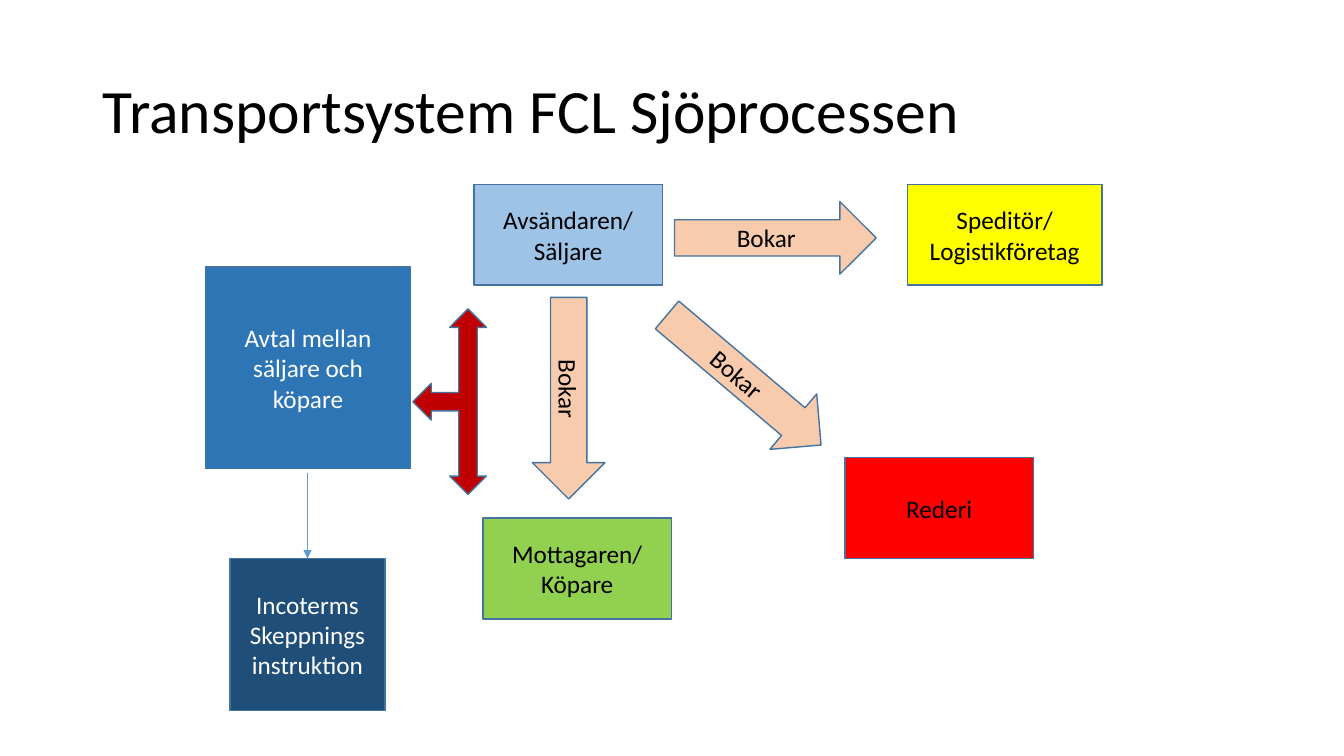
from dataclasses import dataclass

from lxml import etree
from pptx import Presentation
from pptx.dml.color import RGBColor
from pptx.enum.shapes import MSO_CONNECTOR, MSO_SHAPE
from pptx.enum.text import MSO_ANCHOR, PP_ALIGN
from pptx.oxml.ns import qn
from pptx.util import Inches, Pt

RECTANGLE = MSO_SHAPE.RECTANGLE
RIGHT_ARROW = MSO_SHAPE.RIGHT_ARROW
THREE_WAY_ARROW = MSO_SHAPE.LEFT_RIGHT_UP_ARROW
STRAIGHT = MSO_CONNECTOR.STRAIGHT
MIDDLE = MSO_ANCHOR.MIDDLE
LEFT, CENTER = PP_ALIGN.LEFT, PP_ALIGN.CENTER
TITLE_ONLY = 5


@dataclass(frozen=True)
class Theme:
    font: str = "Calibri"
    title_size: int = 44
    body_size: int = 18
    dark_text: str = "000000"
    light_text: str = "FFFFFF"
    outline: str = "43739E"
    connector: str = "5B9BD5"
    booking: str = "F8CBAD"
    sender: str = "9DC3E6"
    forwarder: str = "FFFF00"
    carrier: str = "FF0000"
    receiver: str = "92D050"
    contract: str = "2E75B6"
    terms: str = "1F4E79"
    parties: str = "C00000"


THEME = Theme()


def color(value):
    return RGBColor.from_string(value)


def place(shape, left, top, width, height):
    shape.left, shape.top = Inches(left), Inches(top)
    shape.width, shape.height = Inches(width), Inches(height)


def write(shape, lines, size, text_color, alignment):
    frame = shape.text_frame
    frame.word_wrap = True
    frame.vertical_anchor = MIDDLE
    frame.text = "\n".join(lines)
    for para in frame.paragraphs:
        para.alignment = alignment
        para.font.name = THEME.font
        para.font.size = Pt(size)
        para.font.color.rgb = color(text_color)


def add_title(page, text):
    title = page.shapes.title
    place(title, 0.92, 0.4, 11.5, 1.45)
    write(title, [text], THEME.title_size, THEME.dark_text, LEFT)
    title.text_frame.paragraphs[0].line_spacing = 0.9


def add_figure(page, kind, bounds, fill, rotation=0):
    figure = page.shapes.add_shape(kind, *map(Inches, bounds))
    figure.rotation = rotation
    figure.shadow.inherit = False
    figure.fill.solid()
    figure.fill.fore_color.rgb = color(fill)
    figure.line.color.rgb = color(THEME.outline)
    figure.line.width = Pt(1)
    return figure


def add_box(page, bounds, fill, lines, text_color=THEME.dark_text):
    box = add_figure(page, RECTANGLE, bounds, fill)
    write(box, lines, THEME.body_size, text_color, CENTER)


def add_booking_arrow(page, left, top, rotation):
    arrow = add_figure(page, RIGHT_ARROW, (left, top, 2, 0.72), THEME.booking, rotation)
    write(arrow, ["Bokar"], THEME.body_size, THEME.dark_text, CENTER)


def add_connector_arrow(page, start, end):
    connector = page.shapes.add_connector(STRAIGHT, *map(Inches, start + end))
    connector.line.color.rgb = color(THEME.connector)
    connector.line.width = Pt(0.5)
    etree.SubElement(connector.line._get_or_add_ln(), qn("a:tailEnd"), type="triangle")
    etree.SubElement(connector._element.spPr, qn("a:effectLst"))


def main():
    deck = Presentation()
    deck.slide_width, deck.slide_height = Inches(13.33), Inches(7.5)
    page = deck.slides.add_slide(deck.slide_layouts[TITLE_ONLY])
    add_title(page, "Transportsystem FCL Sjöprocessen")

    add_box(page, (4.7, 1.83, 1.87, 1), THEME.sender, ["Avsändaren/", "Säljare"])
    add_box(page, (9, 1.83, 1.93, 1), THEME.forwarder, ["Speditör/", "Logistikföretag"])
    add_box(page, (8.38, 4.54, 1.87, 1), THEME.carrier, ["Rederi"])
    add_box(page, (4.79, 5.14, 1.87, 1), THEME.receiver, ["Mottagaren/", "Köpare"])
    add_box(page, (2.04, 2.65, 2.03, 2), THEME.contract,
            ["Avtal mellan säljare och köpare"], THEME.light_text)
    add_box(page, (2.28, 5.54, 1.54, 1.51), THEME.terms,
            ["Incoterms", "Skeppnings instruktion"], THEME.light_text)

    for left, top, rotation in ((6.69, 2, 0), (4.64, 3.59, 90), (6.38, 3.41, 40.2)):
        add_booking_arrow(page, left, top, rotation)
    add_figure(page, THREE_WAY_ARROW, (3.54, 3.62, 1.84, 0.73), THEME.parties, 270)
    add_connector_arrow(page, (3.05, 4.69), (3.05, 5.54))

    deck.save("out.pptx")


if __name__ == "__main__":
    main()
